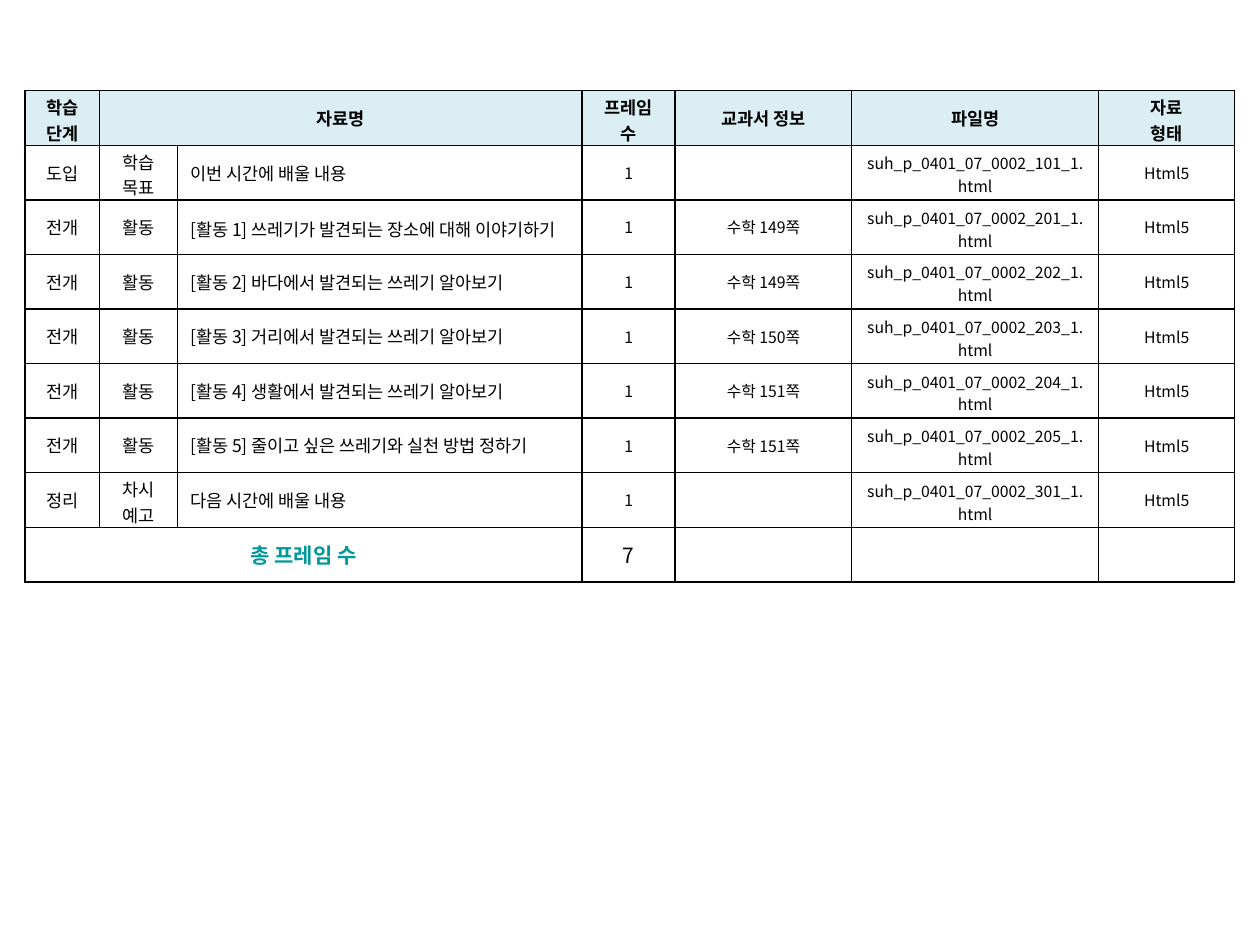
"""Build a lesson plan slide with a table of learning materials by stage."""
import lxml.etree
import pptx
import pptx.dml.color
import pptx.enum.text
import pptx.oxml.ns
import pptx.util

Inches = pptx.util.Inches
Pt = pptx.util.Pt
qn = pptx.oxml.ns.qn
FONT = "Noto Sans CJK KR"


def rgb(hex_color):
    return pptx.dml.color.RGBColor.from_string(hex_color)


def write_cell(cell, text, size=10, bold=False, color="000000", align="CENTER", fill=None, wraps=False):
    cell.vertical_anchor = pptx.enum.text.MSO_ANCHOR.MIDDLE
    if wraps:
        cell.margin_top = Inches(0.03)
        cell.margin_bottom = Inches(0)
    for side in ("lnL", "lnR", "lnT", "lnB"):
        border = lxml.etree.SubElement(cell._tc.get_or_add_tcPr(), qn(f"a:{side}"), w=str(Pt(1)))
        line_fill = lxml.etree.SubElement(border, qn("a:solidFill"))
        lxml.etree.SubElement(line_fill, qn("a:srgbClr"), val="000000")
    if fill:
        cell.fill.solid()
        cell.fill.fore_color.rgb = rgb(fill)
    else:
        cell.fill.background()
    for index, line in enumerate(text.split("\n")):
        frame = cell.text_frame
        paragraph = frame.add_paragraph() if index else frame.paragraphs[0]
        paragraph.alignment = getattr(pptx.enum.text.PP_ALIGN, align)
        if not line:
            lxml.etree.SubElement(paragraph._p, qn("a:endParaRPr"), sz=str(size * 100))
            continue
        run = paragraph.add_run()
        run.text = line
        run.font.size = Pt(size)
        run.font.bold = bold
        run.font.color.rgb = rgb(color)
        run.font.name = FONT
        lxml.etree.SubElement(run.font._element, qn("a:ea"), typeface=FONT)


presentation = pptx.Presentation()
presentation.slide_width = Inches(10)
presentation.slide_height = Inches(7.5)
slide = presentation.slides.add_slide(presentation.slide_layouts[6])

headings = ["학습 단계", "자료명", "", "프레임 수", "교과서 정보", "파일명", "자료\n형태"]
lessons = [
    ("도입", "학습 목표", "이번 시간에 배울 내용", "", "101"),
    ("전개", "활동", "[활동 1] 쓰레기가 발견되는 장소에 대해 이야기하기", "수학 149쪽", "201"),
    ("전개", "활동", "[활동 2] 바다에서 발견되는 쓰레기 알아보기", "수학 149쪽", "202"),
    ("전개", "활동", "[활동 3] 거리에서 발견되는 쓰레기 알아보기", "수학 150쪽", "203"),
    ("전개", "활동", "[활동 4] 생활에서 발견되는 쓰레기 알아보기", "수학 151쪽", "204"),
    ("전개", "활동", "[활동 5] 줄이고 싶은 쓰레기와 실천 방법 정하기", "수학 151쪽", "205"),
    ("정리", "차시 예고", "다음 시간에 배울 내용", "", "301"),
]
totals = ["총 프레임 수", "", "", str(len(lessons)), "", "", ""]
column_widths = [0.59, 0.62, 3.21, 0.74, 1.4, 1.96, 1.08]
line_lengths = [4, 4, 28, 4, 10, 20, 10]
last_row = len(lessons) + 1

materials = slide.shapes.add_table(
    last_row + 1, len(column_widths), Inches(0.2), Inches(0.72), Inches(9.6), Inches(3.9)
).table
materials.first_row = False
materials.horz_banding = False
for column, width in zip(materials.columns, column_widths):
    column.width = Inches(width)

for column, heading in enumerate(headings):
    write_cell(
        materials.cell(0, column),
        heading,
        bold=True,
        fill="DBEEF4",
        wraps="\n" in heading or len(heading) > line_lengths[column],
    )

for row, (stage, step, title, pages, code) in enumerate(lessons, start=1):
    file_name = f"suh_p_0401_07_0002_{code}_1.html"
    for column, text in enumerate([stage, step, title, "1", pages, file_name, "Html5"]):
        write_cell(
            materials.cell(row, column),
            text,
            size=10 if column < 3 else 9,
            align="LEFT" if column == 2 else "CENTER",
            wraps=len(text) > line_lengths[column],
        )

for column, text in enumerate(totals):
    label = column == 0
    write_cell(
        materials.cell(last_row, column),
        text,
        size=12,
        bold=label,
        color="009999" if label else "000000",
    )

materials.cell(0, 1).merge(materials.cell(0, 2))
materials.cell(last_row, 0).merge(materials.cell(last_row, 2))

presentation.save("out.pptx")
